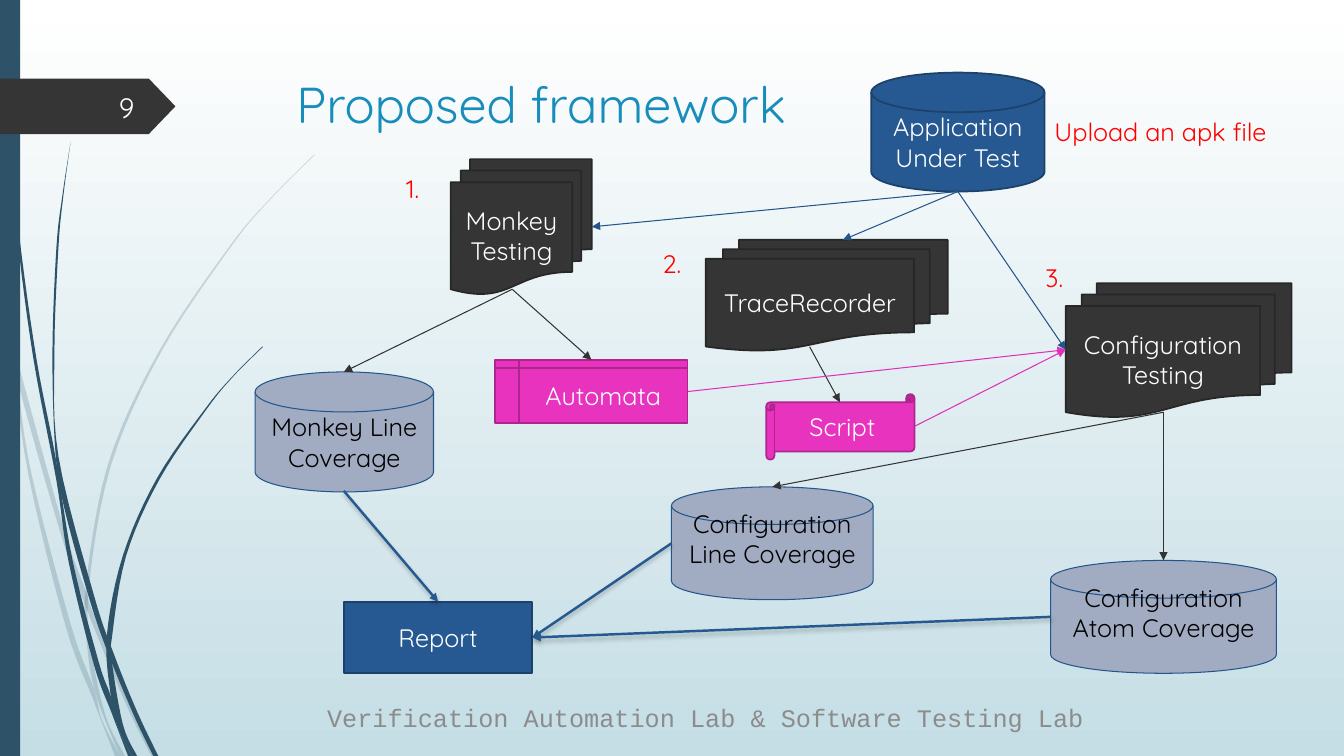
import pptx
import pptx.dml.color
import pptx.enum.shapes
import pptx.enum.text
import pptx.oxml
import pptx.util
from pptx.util import Inches

COLORS = {
    "white": "FFFFFF", "black": "000000", "sky": "C5DEE5", "teal": "2E5369",
    "coal": "353535", "coal_edge": "272727", "coal_line": "333333",
    "blue": "265991", "blue_edge": "1C426B", "blue_line": "24558B",
    "pink": "E833BF", "pink_edge": "AC268D", "pink_line": "DE31B6",
    "steel": "A1ABC1", "title": "178DBB", "gray": "8C8C8C", "red": "FF0000",
}
STYLES = {
    "tool": ("coal", "coal_edge", 1.25, "white"),
    "main": ("blue", "blue_edge", 1.25, "white"),
    "artifact": ("pink", "pink_edge", 1.25, "white"),
    "coverage": ("steel", "blue_line", 0.75, "black"),
}
PALE_WISPS = [
    ([(0, 2.99), (0.11, 3.5), (0.28, 4.7), (0.65, 6.21), (0.92, 6.93), (1.14, 7.5)],
     [(0, 2.82), (0.09, 3.22), (0.17, 3.76), (0.31, 4.69), (0.7, 6.19), (0.93, 6.83),
      (1.01, 7.14), (1.19, 7.5)]),
    ([(0.14, 3.45), (0.17, 3.76), (0.58, 5.22), (0.84, 5.99), (1.23, 6.94), (1.5, 7.5)],
     [(0.14, 3.45), (0.62, 5.2), (0.85, 5.86), (0.92, 6.07), (1.27, 6.92), (1.55, 7.5)]),
    ([(3.12, 1.53), (2.68, 1.97), (2.28, 2.44), (1.58, 3.48), (1.07, 4.61), (0.85, 5.84),
      (0.87, 6.46), (0.96, 6.92), (1.19, 7.5)],
     [(3.12, 1.54), (2.68, 1.98), (2.29, 2.45), (1.6, 3.49), (1.1, 4.62), (0.88, 5.84),
      (0.91, 6.46), (1.05, 7.11), (1.24, 7.5)]),
]
DARK_WISPS = [
    ([(0.03, 0), (0.07, 1.1), (0.17, 2.33), (0.33, 3.55), (0.56, 4.77), (0.68, 5.57),
      (0.93, 6.59), (1.11, 7.08), (1.27, 7.5)],
     [(0.04, 0), (0.08, 1.09), (0.19, 2.32), (0.36, 3.55), (0.55, 4.53), (0.72, 5.56),
      (0.98, 6.57), (1.1, 6.91), (1.17, 7.22), (1.31, 7.5)]),
    ([(0.7, 1.41), (0.62, 1.93), (0.56, 2.45), (0.52, 3.49), (0.55, 4.49), (0.64, 5.05),
      (0.88, 5.92), (1.06, 6.45), (1.32, 7.08), (1.52, 7.5)],
     [(0.7, 1.41), (0.63, 1.93), (0.58, 2.45), (0.54, 3.49), (0.58, 4.53), (0.93, 5.9),
      (1.13, 6.49), (1.36, 7.06), (1.57, 7.5)]),
    ([(2.6, 3.44), (2.31, 3.73), (2.04, 4.05), (1.56, 4.74), (1.22, 5.51), (1.06, 6.31),
      (1.1, 6.91), (1.17, 7.22), (1.31, 7.5)],
     [(2.61, 3.44), (2.31, 3.74), (2.05, 4.06), (1.58, 4.76), (1.25, 5.52), (1.11, 6.33),
      (1.11, 6.56), (1.22, 7.19), (1.36, 7.5)]),
]
DRAWING = 'xmlns:a="http://schemas.openxmlformats.org/drawingml/2006/main"'
SHAPE = pptx.enum.shapes.MSO_SHAPE
ALIGN = pptx.enum.text.PP_ALIGN
ANCHOR = pptx.enum.text.MSO_ANCHOR


def color(name):
    return pptx.dml.color.RGBColor.from_string(COLORS[name])


def xml(text):
    return pptx.oxml.parse_xml(text)


def paint_background(slide):
    fill = slide.background.fill
    fill.gradient()
    fill.gradient_angle = 270
    for stop, position, name in zip(fill.gradient_stops, (0, 1), ("white", "sky")):
        stop.position = position
        stop.color.rgb = color(name)


def smooth_edge(points, steps=6):
    padded = [points[0], *points, points[-1]]
    edge = [points[0]]
    for a, b, c, d in zip(padded, padded[1:], padded[2:], padded[3:]):
        for step in range(1, steps + 1):
            t = step / steps
            edge.append(tuple(
                b[i] + t * (c[i] - a[i]) / 2
                + t * t * (2 * a[i] - 5 * b[i] + 4 * c[i] - d[i]) / 2
                + t ** 3 * (3 * b[i] - a[i] - 3 * c[i] + d[i]) / 2
                for i in (0, 1)))
    return edge


def add_wisp(slide, left_edge, right_edge, opacity):
    outline = [(Inches(x), Inches(y))
               for x, y in smooth_edge(left_edge) + smooth_edge(right_edge)[::-1]]
    builder = slide.shapes.build_freeform(*outline[0])
    builder.add_line_segments(outline[1:], close=True)
    wisp = builder.convert_to_shape()
    paint(wisp, "teal")
    if opacity < 100:
        tint = wisp.fill._xPr.solidFill[0]
        tint.append(xml(f'<a:alpha {DRAWING} val="{opacity * 1000}"/>'))


def paint(shape, fill, edge=None, width=0):
    shape.shadow.inherit = False
    shape.fill.solid()
    shape.fill.fore_color.rgb = color(fill)
    if edge:
        shape.line.color.rgb = color(edge)
        shape.line.width = pptx.util.Pt(width)
    else:
        shape.line.fill.background()


def write(box, text, ink, size, align, anchor, font="Quicksand", wrap=True):
    frame = box.text_frame
    frame.word_wrap = wrap
    frame.vertical_anchor = anchor
    frame.text = text
    para = frame.paragraphs[0]
    para.alignment = align
    span = para.runs[0]
    span.font.name = font
    span.font.size = pptx.util.Pt(size)
    span.font.color.rgb = color(ink)


def add_block(slide, kind, place, fill, edge=None, width=0):
    block = slide.shapes.add_shape(kind, *map(Inches, place))
    paint(block, fill, edge, width)
    return block


def add_node(slide, kind, place, style, text):
    fill, edge, width, ink = STYLES[style]
    node = add_block(slide, kind, place, fill, edge, width)
    write(node, text, ink, 18, ALIGN.CENTER, ANCHOR.MIDDLE)
    return node


def add_label(slide, place, text, ink, size=18, align=ALIGN.LEFT, anchor=ANCHOR.TOP, **options):
    box = slide.shapes.add_textbox(*map(Inches, place))
    write(box, text, ink, size, align, anchor, **options)


def add_arrow(slide, start, end, ink, width=0.75, start_joint=None, end_joint=None):
    arrow = slide.shapes.add_connector(
        pptx.enum.shapes.MSO_CONNECTOR.STRAIGHT, *map(Inches, start + end))
    if start_joint:
        arrow.begin_connect(*start_joint)
    if end_joint:
        arrow.end_connect(*end_joint)
    arrow.line.color.rgb = color(ink)
    arrow.line.width = pptx.util.Pt(width)
    arrow.line._get_or_add_ln().append(xml(f'<a:tailEnd {DRAWING} type="triangle"/>'))
    shadow = ('<a:outerShdw blurRad="38100" dist="25400" dir="5400000" rotWithShape="0">'
              '<a:srgbClr val="000000"><a:alpha val="25000"/></a:srgbClr></a:outerShdw>')
    arrow._element.spPr.append(
        xml(f'<a:effectLst {DRAWING}>{shadow if width > 1 else ""}</a:effectLst>'))


def add_decor(slide):
    for wisps, opacity in ((PALE_WISPS, 20), (DARK_WISPS, 100)):
        for left_edge, right_edge in wisps:
            add_wisp(slide, left_edge, right_edge, opacity)
    add_block(slide, SHAPE.RECTANGLE, (0, 0, 0.2, 7.5), "teal")
    flag = add_block(slide, SHAPE.PENTAGON, (0, 0.78, 1.74, 0.55), "coal")
    flag.adjustments[0] = 0.48


def add_framework(slide):
    documents, disk = SHAPE.FLOWCHART_MULTIDOCUMENT, SHAPE.FLOWCHART_MAGNETIC_DISK
    add_node(slide, documents, (4.47, 1.58, 1.4, 1.34), "tool", "Monkey Testing")
    add_node(slide, disk, (8.64, 0.72, 1.72, 1.18), "main", "Application Under Test")
    automata = add_node(slide, SHAPE.FLOWCHART_INTERNAL_STORAGE, (4.91, 3.57, 1.91, 0.63),
                        "artifact", "Automata")
    add_node(slide, disk, (2.53, 3.69, 1.77, 1.19), "coverage", "Monkey Line Coverage")
    add_node(slide, SHAPE.HORIZONTAL_SCROLL, (7.6, 3.91, 1.47, 0.65), "artifact", "Script")
    add_node(slide, documents, (10.57, 2.81, 2.24, 1.33), "tool", "Configuration Testing")
    add_node(slide, documents, (7, 2.38, 2.4, 1.1), "tool", "TraceRecorder")
    report = add_node(slide, SHAPE.RECTANGLE, (3.41, 5.97, 1.87, 0.71), "main", "Report")
    for place, text in (((6.66, 4.83, 2, 1.12), "Configuration Line Coverage"),
                        ((10.42, 5.56, 2.24, 1.12), "Configuration Atom Coverage")):
        node = add_node(slide, disk, place, "coverage", text)
        node.text_frame.margin_bottom = Inches(0.33)

    application, monkey, configuration = (9.5, 1.9), (5.08, 2.87), (11.54, 4.09)
    configuration_side, report_side = (10.57, 3.47), (5.28, 6.32)
    for end in ((5.87, 2.25), (8.36, 2.38), configuration_side):
        add_arrow(slide, application, end, "blue_line")
    add_arrow(slide, monkey, (3.41, 3.69), "coal_line")
    add_arrow(slide, monkey, (5.87, 3.57), "coal_line", end_joint=(automata, 0))
    add_arrow(slide, (8.03, 3.44), (8.33, 3.99), "coal_line")
    for end in ((7.66, 4.83), (11.54, 5.56)):
        add_arrow(slide, configuration, end, "coal_line")
    add_arrow(slide, (6.82, 3.89), configuration_side, "pink_line", start_joint=(automata, 3))
    add_arrow(slide, (9.07, 4.23), configuration_side, "pink_line")
    add_arrow(slide, (3.41, 4.87), (4.34, 5.97), "blue", 1.75, end_joint=(report, 0))
    for start in ((6.66, 5.39), (10.42, 6.12)):
        add_arrow(slide, start, report_side, "blue", 1.75, end_joint=(report, 3))


def main():
    deck = pptx.Presentation()
    deck.slide_width, deck.slide_height = Inches(13.33), Inches(7.5)
    page = deck.slides.add_slide(deck.slide_layouts[6])
    paint_background(page)
    add_decor(page)
    add_label(page, (2.84, 0.68, 5.59, 0.82), "Proposed framework", "title", 36)
    add_label(page, (0.58, 0.86, 0.85, 0.4), "9", "white", 20, ALIGN.RIGHT, ANCHOR.MIDDLE)
    add_label(page, (2.83, 6.92, 8.33, 0.4), "Verification Automation Lab & Software Testing Lab",
              "gray", 18, ALIGN.CENTER, ANCHOR.MIDDLE, font="Courier New")
    add_framework(page)
    add_label(page, (10.36, 1.1, 2.9, 0.4), "Upload an apk file", "red")
    for number, (left, top) in enumerate(((3.93, 1.67), (6.47, 2.41), (10.27, 2.55)), 1):
        add_label(page, (left, top, 0.41, 0.4), f"{number}.", "red", wrap=False)
    deck.save("out.pptx")


if __name__ == "__main__":
    main()
